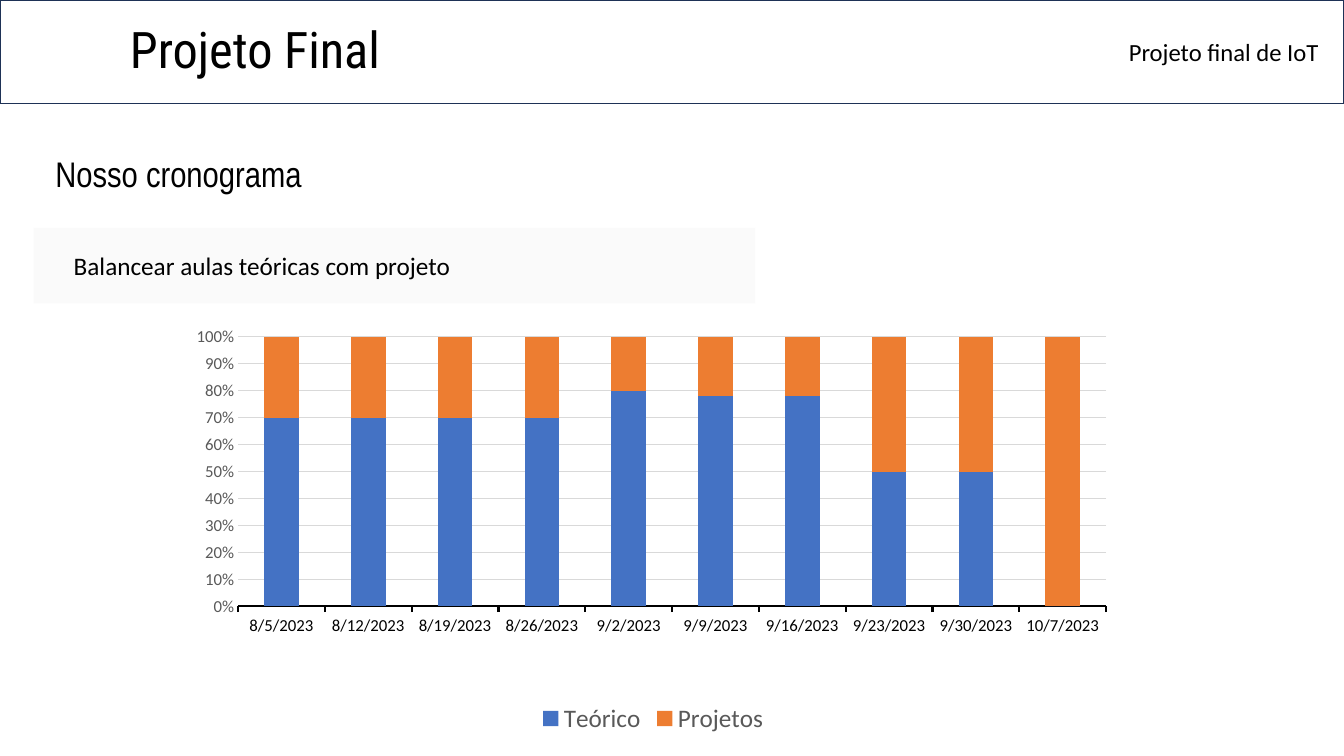
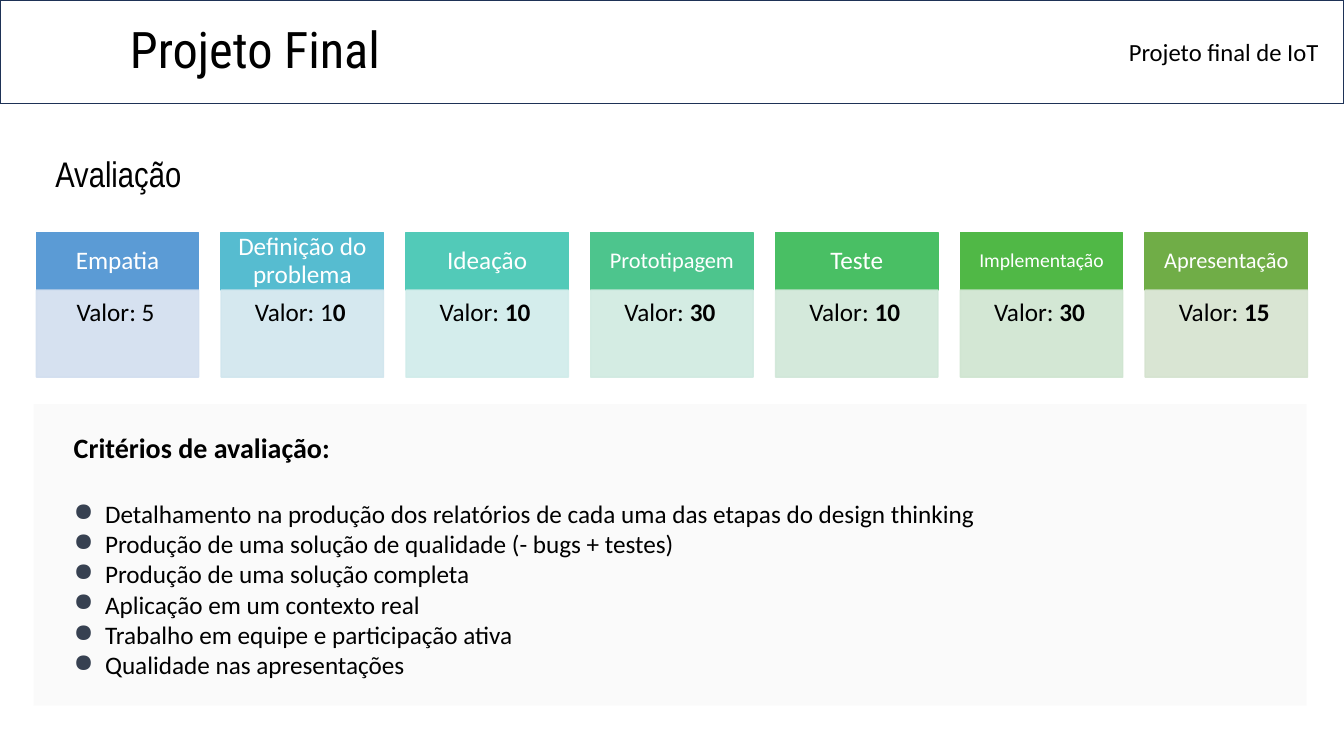
from lxml import etree
from pptx import Presentation
from pptx.chart.data import CategoryChartData
from pptx.dml.color import RGBColor
from pptx.enum import chart as ch, shapes, text
from pptx.oxml import ns
from pptx.util import Pt

COLORS = dict(ink="000000", paper="FFFFFF", band="1E3256", panel="F8F8F8",
              bullet="374151", gray="595959", grid="D9D9D9")
BODY = "Calibri"
MID, BOTTOM = text.MSO_ANCHOR.MIDDLE, text.MSO_ANCHOR.BOTTOM
CENTER, RIGHT = text.PP_ALIGN.CENTER, text.PP_ALIGN.RIGHT

SCHEDULE = dict(
    heading="Nosso cronograma",
    note="Balancear aulas teóricas com projeto",
    dates=["8/5/2023", "8/12/2023", "8/19/2023", "8/26/2023", "9/2/2023",
           "9/9/2023", "9/16/2023", "9/23/2023", "9/30/2023", "10/7/2023"],
    series=[("Teórico", "4472C4", [70, 70, 70, 70, 80, 78, 78, 50, 50, 0]),
            ("Projetos", "ED7D31", [30, 30, 30, 30, 20, 22, 22, 50, 50, 100])],
)
# stage, title size, title fill, value fill, value in regular type, value in bold
STAGES = [
    ("Empatia", 18, "5B9BD5", "D2DEEF", "Valor: 5", ""),
    ("Definição do problema", 18, "56BCD0", "D1E6EE", "Valor: 1", "0"),
    ("Ideação", 18, "52CAB8", "D0ECEA", "Valor: ", "10"),
    ("Prototipagem", 16, "4DC58D", "D0EAE1", "Valor: ", "30"),
    ("Teste", 18, "49BF64", "D0E7D8", "Valor: ", "10"),
    ("Implementação", 14, "50B846", "CFE5D0", "Valor: ", "30"),
    ("Apresentação", 16, "70AD47", "D5E3CF", "Valor: ", "15"),
]
CRITERIA_TITLE = "Critérios de avaliação:"
CRITERIA = [
    "Detalhamento na produção dos relatórios de cada uma das etapas do design thinking",
    "Produção de uma solução de qualidade (- bugs + testes)",
    "Produção de uma solução completa",
    "Aplicação em um contexto real",
    "Trabalho em equipe e participação ativa",
    "Qualidade nas apresentações",
]


def rgb(value):
    return RGBColor.from_string(COLORS.get(value, value))


def set_attrs(obj, **values):
    for name, value in values.items():
        setattr(obj, name, value)


def set_font(font, size, color="ink", name=BODY, bold=False):
    set_attrs(font, size=Pt(size), name=name, bold=bold)
    font.color.rgb = rgb(color)


def set_alpha(color_format, color, percent):
    color_format.solid()
    color_format.fore_color.rgb = rgb(color)
    if percent < 100:
        for clr in color_format._xPr.iter(ns.qn("a:srgbClr")):
            etree.SubElement(clr, ns.qn("a:alpha"), val=str(percent * 1000))


def add_rect(s, box, fill, line=None, alpha=100):
    sp = s.shapes.add_shape(shapes.MSO_SHAPE.RECTANGLE, *map(Pt, box))
    sp.shadow.inherit = False
    set_alpha(sp.fill, fill, alpha)
    if line:
        sp.line.width = Pt(1)
        set_alpha(sp.line.fill, line, alpha)
    else:
        sp.line.fill.background()
    return sp


def set_frame(sp, insets=(7.2, 3.6, 7.2, 3.6), anchor=text.MSO_ANCHOR.TOP):
    tf = sp.text_frame
    sides = ("margin_left", "margin_top", "margin_right", "margin_bottom")
    set_attrs(tf, word_wrap=True, vertical_anchor=anchor,
              **dict(zip(sides, map(Pt, insets))))
    return tf


def write(p, runs, size, color="ink", name=BODY, align=text.PP_ALIGN.LEFT, spacing=1.0):
    """Fill paragraph p with (text, bold) runs."""
    set_attrs(p, alignment=align, line_spacing=spacing)
    for words, bold in runs:
        if words:
            r = p.add_run()
            r.text = words
            set_font(r.font, size, color, name, bold)


def indent(p, left, first=0, bullet=None):
    pPr = p._p.get_or_add_pPr()
    pPr.set("marL", str(Pt(left)))
    pPr.set("indent", str(Pt(first)))
    if bullet:
        clr = etree.SubElement(pPr, ns.qn("a:buClr"))
        etree.SubElement(clr, ns.qn("a:srgbClr"), val=COLORS["bullet"])
        etree.SubElement(pPr, ns.qn("a:buChar"), char=bullet)


def add_label(s, box, words, size, insets=(7.2, 3.6, 7.2, 3.6),
              anchor=BOTTOM, **style):
    sp = s.shapes.add_textbox(*map(Pt, box))
    write(set_frame(sp, insets, anchor).paragraphs[0], [(words, False)], size, **style)


def add_page(prs, heading):
    """Blank slide with the title band and a section heading."""
    s = prs.slides.add_slide(prs.slide_layouts[6])
    add_rect(s, (0, 0, 960, 74), "paper", "band")
    add_label(s, (85.7, 12.2, 350, 48.2), "Projeto Final", 36,
              name="Roboto Condensed", spacing=0.9)
    add_label(s, (657.4, 18, 291.6, 33.1), "Projeto final de IoT", 17.6, align=RIGHT)
    add_label(s, (32.4, 105, 605.5, 42.5), heading, 25.4, (7.2,) * 4,
              text.MSO_ANCHOR.TOP, name="Arial Narrow", spacing=0.9)
    return s


def add_panel(s, box):
    return set_frame(add_rect(s, box, "panel", alpha=65), (7.2,) * 4, MID)


def set_plot_area(chart, **fractions):
    area = chart._chartSpace.chart.plotArea
    for old in area.findall(ns.qn("c:layout")):
        area.remove(old)
    layout = etree.Element(ns.qn("c:layout"))
    manual = etree.SubElement(layout, ns.qn("c:manualLayout"))
    settings = dict(layoutTarget="inner", xMode="edge", yMode="edge", **fractions)
    for tag, value in settings.items():
        etree.SubElement(manual, ns.qn("c:" + tag), val=str(value))
    area.insert(0, layout)


def add_schedule_chart(s):
    data = CategoryChartData()
    data.categories = SCHEDULE["dates"]
    for name, _, values in SCHEDULE["series"]:
        data.add_series(name, values)
    chart = s.shapes.add_chart(ch.XL_CHART_TYPE.COLUMN_STACKED_100, Pt(129.6),
                               Pt(231.8), Pt(674), Pt(296), data).chart
    set_font(chart.font, 10)
    set_attrs(chart, has_title=False, has_legend=True)
    set_attrs(chart.legend, position=ch.XL_LEGEND_POSITION.BOTTOM, include_in_layout=False)
    set_font(chart.legend.font, 18, "gray")
    plot = chart.plots[0]
    set_attrs(plot, gap_width=150, overlap=100, vary_by_categories=False)
    for series, (_, color, _) in zip(plot.series, SCHEDULE["series"]):
        series.format.fill.solid()
        series.format.fill.fore_color.rgb = rgb(color)

    dates, share = chart.category_axis, chart.value_axis
    dates.major_tick_mark = ch.XL_TICK_MARK.OUTSIDE
    set_attrs(share, major_tick_mark=ch.XL_TICK_MARK.NONE, has_major_gridlines=True,
              minimum_scale=0, maximum_scale=1, major_unit=0.1)
    set_attrs(share.tick_labels, number_format="0%", number_format_is_linked=False)
    set_font(dates.tick_labels.font, 12)
    set_font(share.tick_labels.font, 12, "gray")
    share.format.line.fill.background()
    for line, color, width in ((dates.format.line, "ink", 1.5),
                               (share.major_gridlines.format.line, "grid", 0.75)):
        line.color.rgb = rgb(color)
        line.width = Pt(width)
    set_plot_area(chart, x=0.06, y=0.03, w=0.92, h=0.65)


def add_schedule(prs):
    s = add_page(prs, SCHEDULE["heading"])
    p = add_panel(s, (24, 162.7, 515.5, 54)).paragraphs[0]
    write(p, [(SCHEDULE["note"], False)], 18)
    indent(p, 21.6)
    add_schedule_chart(s)


def add_stage(s, left, stage):
    title, size, dark, pale, regular, bold = stage
    top, width, title_h, value_h = 166.2, 116, 41, 62.2
    head = add_rect(s, (left, top, width, title_h), dark, dark)
    side, edge = 0.56 * size, 0.32 * size
    write(set_frame(head, (side, edge, side, edge), MID).paragraphs[0],
          [(title, False)], size, "paper", align=CENTER, spacing=0.9)
    body = add_rect(s, (left, top + title_h, width, value_h), pale, pale, 90)
    write(set_frame(body, (7.2, 7.2, 10, 11.5)).paragraphs[0],
          [(regular, False), (bold, True)], 18, align=CENTER, spacing=0.9)


def add_evaluation(prs):
    s = add_page(prs, "Avaliação")
    for i, stage in enumerate(STAGES):
        add_stage(s, 26 + 132 * i, stage)
    tf = add_panel(s, (24, 288.7, 909.4, 215.3))
    p = tf.paragraphs[0]
    write(p, [(CRITERIA_TITLE, True)], 20)
    p.space_after = Pt(24.4)
    indent(p, 21.6)
    for criterion in CRITERIA:
        p = tf.add_paragraph()
        write(p, [(criterion, False)], 18)
        indent(p, 44, -22.4, "●")


def main():
    prs = Presentation()
    set_attrs(prs, slide_width=Pt(960), slide_height=Pt(540))
    add_schedule(prs)
    add_evaluation(prs)
    prs.save("out.pptx")


if __name__ == "__main__":
    main()
